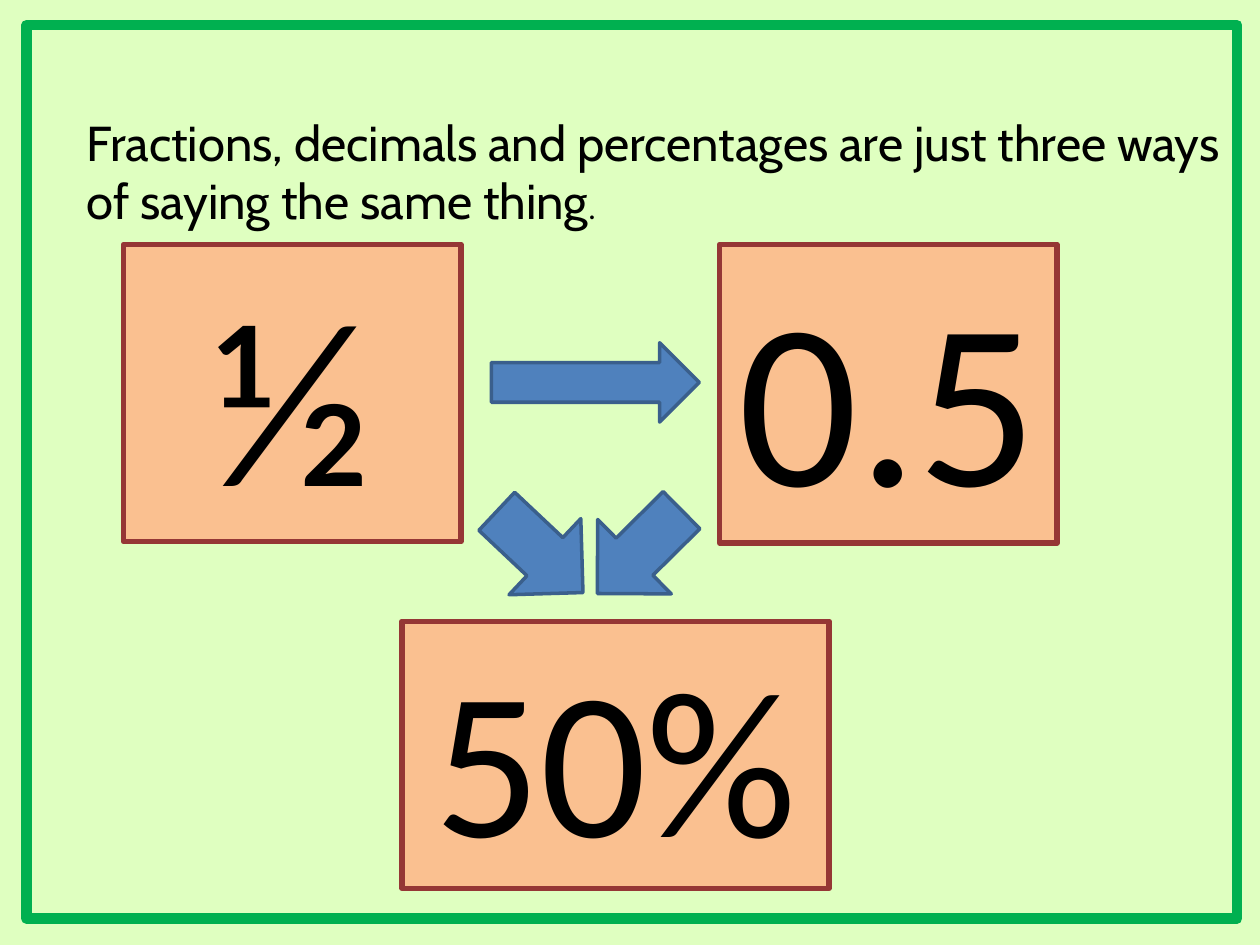
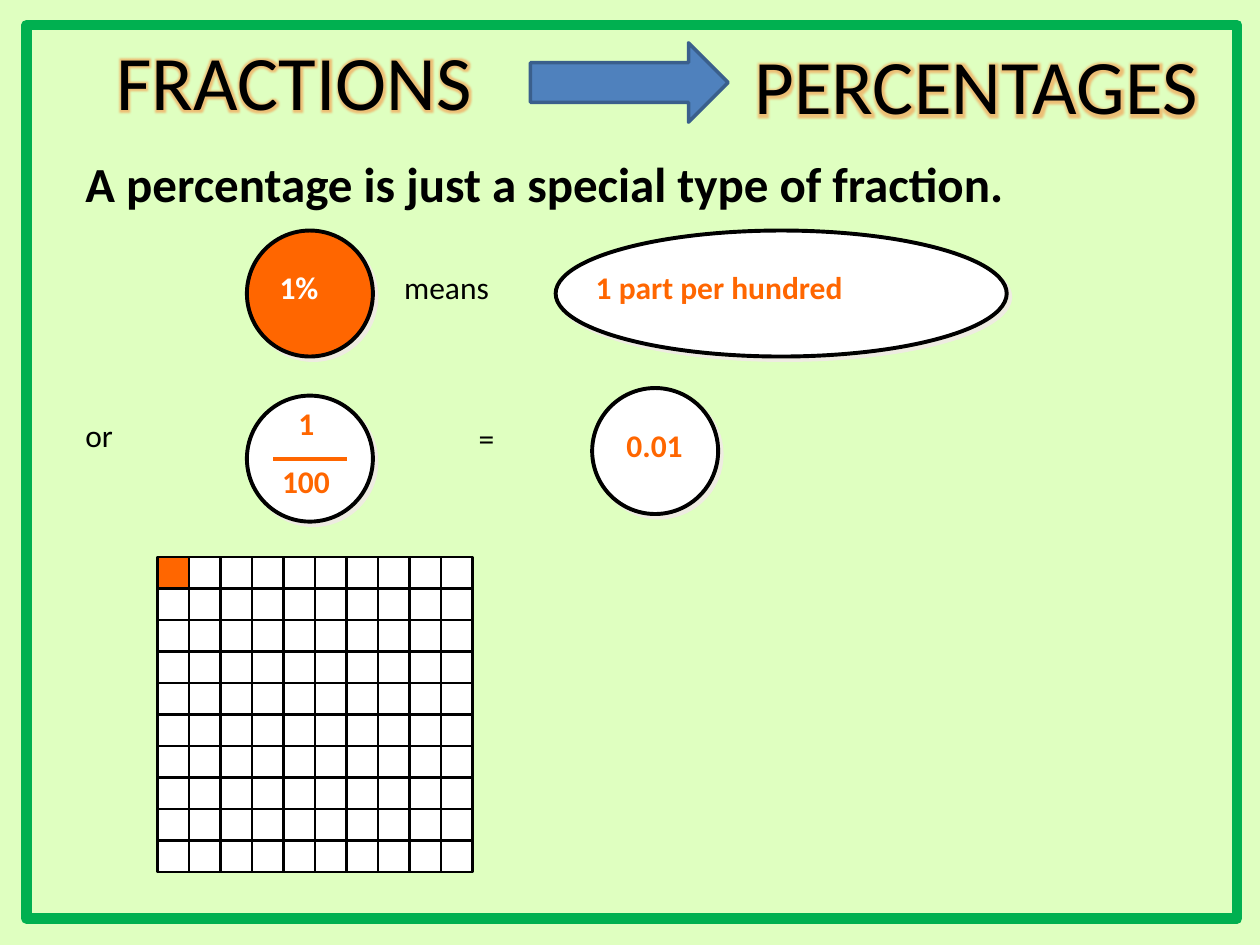
from itertools import product

from lxml.etree import SubElement
from pptx import Presentation
from pptx.dml.color import RGBColor
from pptx.enum.shapes import MSO_CONNECTOR, MSO_SHAPE
from pptx.enum.text import MSO_ANCHOR, PP_ALIGN
from pptx.oxml import parse_xml
from pptx.oxml.ns import nsdecls, qn
from pptx.util import Inches, Pt

BLACK = RGBColor(0x00, 0x00, 0x00)
WHITE = RGBColor(0xFF, 0xFF, 0xFF)
PALE_GREEN = RGBColor(0xDF, 0xFF, 0xC0)
GREEN = RGBColor(0x00, 0xB0, 0x50)
PEACH = RGBColor(0xFA, 0xC0, 0x90)
MAROON = RGBColor(0x95, 0x37, 0x35)
BLUE = RGBColor(0x4F, 0x81, 0xBD)
DARK_BLUE = RGBColor(0x3A, 0x5F, 0x8C)
ORANGE = RGBColor(0xFF, 0x66, 0x00)
SHADOW_GREY = RGBColor(0xEE, 0xEC, 0xE1)
GLOW_ORANGE = RGBColor(0xF7, 0x96, 0x46)

BODY_FONT = "Calibri"
INTRO_FONT = "Cabin"

TITLE_ONLY, BLANK = 5, 6
GRID_SIZE, CELL = 10, 0.25


def style_font(font, size, color=BLACK, bold=False, name=BODY_FONT):
    font.name = name
    font.size = Pt(size)
    font.bold = bold
    font.color.rgb = color


def write(text_frame, text, size, color=BLACK, bold=False, align=PP_ALIGN.LEFT):
    text_frame.text = text
    text_frame.word_wrap = True
    paragraph = text_frame.paragraphs[0]
    paragraph.alignment = align
    style_font(paragraph.runs[0].font, size, color, bold)


def add_text(shapes, text, box, size=18, color=BLACK, bold=False,
             align=PP_ALIGN.LEFT):
    label = shapes.add_textbox(*map(Inches, box))
    write(label.text_frame, text, size, color, bold, align)
    return label


def add_outlined(shapes, preset, box, fill, line, weight, rotation=0):
    """Add a preset shape; a fill of None leaves it hollow."""
    shape = shapes.add_shape(preset, *map(Inches, box))
    shape.shadow.inherit = False
    if fill is None:
        shape.fill.background()
    else:
        shape.fill.solid()
        shape.fill.fore_color.rgb = fill
    shape.line.color.rgb = line
    shape.line.width = Pt(weight)
    shape.rotation = rotation
    return shape


def add_arrow(shapes, preset, box, rotation=0):
    add_outlined(shapes, preset, box, BLUE, DARK_BLUE, 2, rotation)


def add_value_card(shapes, value, box, size):
    card = add_outlined(shapes, MSO_SHAPE.RECTANGLE, box, PEACH, MAROON, 3)
    write(card.text_frame, value, size, align=PP_ALIGN.CENTER)
    card.text_frame.vertical_anchor = MSO_ANCHOR.TOP


def add_bubble(shapes, box, fill=WHITE):
    """Add a group holding a shadowed ellipse, and return its shapes."""
    members = shapes.add_group_shape().shapes
    ellipse = add_outlined(members, MSO_SHAPE.OVAL, box, fill, BLACK, 2.25)
    effects = ellipse.element.spPr.find(qn("a:effectLst"))
    shadow = SubElement(effects, qn("a:outerShdw"), dist=str(Pt(2.8)),
                        dir="2700000", algn="ctr", rotWithShape="0")
    SubElement(shadow, qn("a:srgbClr"), val=str(SHADOW_GREY))
    return members


def add_fraction_bar(shapes, left, right, y):
    bar = shapes.add_connector(MSO_CONNECTOR.STRAIGHT, Inches(left), Inches(y),
                               Inches(right), Inches(y))
    bar.line.color.rgb = ORANGE
    bar.line.width = Pt(2.25)
    SubElement(bar.element.spPr, qn("a:effectLst"))


def add_hundred_grid(shapes, left, top):
    """Draw a 10 by 10 square with its first cell shaded."""
    cells = shapes.add_group_shape().shapes
    for column, row in product(range(GRID_SIZE), repeat=2):
        box = (left + column * CELL, top + row * CELL, CELL, CELL)
        fill = ORANGE if column == row == 0 else WHITE
        add_outlined(cells, MSO_SHAPE.RECTANGLE, box, fill, BLACK, 1.5)


def add_glow(text_frame):
    properties = text_frame.paragraphs[0].runs[0].font._element
    glow = parse_xml(
        f'<a:effectLst {nsdecls("a")}><a:glow rad="{Pt(5)}">'
        f'<a:srgbClr val="{GLOW_ORANGE}"><a:alpha val="60000"/></a:srgbClr>'
        '</a:glow></a:effectLst>')
    properties.find(qn("a:solidFill")).addnext(glow)


def new_slide(prs, layout):
    """Add a slide with the green frame."""
    slide = prs.slides.add_slide(prs.slide_layouts[layout])
    add_outlined(slide.shapes, MSO_SHAPE.RECTANGLE, (0.21, 0.2, 9.61, 7.09),
                 None, GREEN, 6)
    return slide


def build_three_ways(prs):
    shapes = new_slide(prs, BLANK).shapes
    intro = add_text(shapes, "Fractions, decimals and percentages are just three "
                     "ways of saying the same thing", (0.59, 0.84, 9.41, 1.1))
    sentence = intro.text_frame.paragraphs[0]
    style_font(sentence.runs[0].font, 28, name=INTRO_FONT)
    full_stop = sentence.add_run()
    full_stop.text = "."
    style_font(full_stop.font, 18)

    add_value_card(shapes, "½", (0.98, 1.94, 2.68, 2.36), 135)
    add_value_card(shapes, "0.5", (5.71, 1.94, 2.68, 2.37), 135)
    add_value_card(shapes, "50%", (3.19, 4.93, 3.39, 2.12), 120)

    for box, rotation in (((4.41, 2.21, 0.63, 1.65), 270),
                          ((4.66, 3.91, 0.83, 0.94), 45.3),
                          ((3.87, 3.91, 0.83, 0.94), 313.3)):
        add_arrow(shapes, MSO_SHAPE.DOWN_ARROW, box, rotation)


def build_fractions_to_percentages(prs):
    slide = new_slide(prs, TITLE_ONLY)
    shapes = slide.shapes

    title = shapes.title
    title.left, title.top, title.width, title.height = map(
        Inches, (0.43, 0.21, 3.81, 0.84))
    write(title.text_frame, "FRACTIONS", 44, align=PP_ALIGN.CENTER)
    title.text_frame.vertical_anchor = MSO_ANCHOR.MIDDLE
    add_arrow(shapes, MSO_SHAPE.RIGHT_ARROW, (4.21, 0.34, 1.57, 0.63))
    target = add_text(shapes, "PERCENTAGES", (5.89, 0.25, 3.76, 0.84), 44)
    for heading in (title, target):
        add_glow(heading.text_frame)

    add_text(shapes, "A percentage is just a special type of fraction.",
             (0.58, 1.17, 8.42, 0.57), 28, bold=True)

    percent = add_bubble(shapes, (1.96, 1.83, 1, 1), ORANGE)
    add_text(percent, "1%", (2.12, 2.08, 0.68, 0.5), color=WHITE, bold=True)
    add_text(shapes, "means", (3.11, 2.08, 1.2, 0.5))
    meaning = add_bubble(shapes, (4.41, 1.83, 3.58, 1))
    add_text(meaning, "1 part per hundred", (4.63, 2.08, 3.14, 0.5),
             color=ORANGE, bold=True)

    add_text(shapes, "or", (0.58, 3.25, 0.5, 0.5))
    fraction = add_bubble(shapes, (1.96, 3.14, 1, 1))
    add_fraction_bar(fraction, 2.17, 2.75, 3.64)
    add_text(fraction, "1", (2.27, 3.16, 0.39, 0.5), color=ORANGE, bold=True)
    add_text(fraction, "100", (2.14, 3.62, 0.64, 0.4), color=ORANGE, bold=True)
    add_text(shapes, "=", (3.7, 3.28, 0.4, 0.5))
    decimal = add_bubble(shapes, (4.7, 3.08, 1, 1))
    add_text(decimal, "0.01", (4.82, 3.33, 0.75, 0.4), color=ORANGE, bold=True,
             align=PP_ALIGN.CENTER)

    add_hundred_grid(shapes, 1.25, 4.42)


def main():
    prs = Presentation()
    prs.slide_width, prs.slide_height = Inches(10), Inches(7.5)
    background = prs.slide_master.background.fill
    background.solid()
    background.fore_color.rgb = PALE_GREEN
    build_three_ways(prs)
    build_fractions_to_percentages(prs)
    prs.save("out.pptx")


if __name__ == "__main__":
    main()
